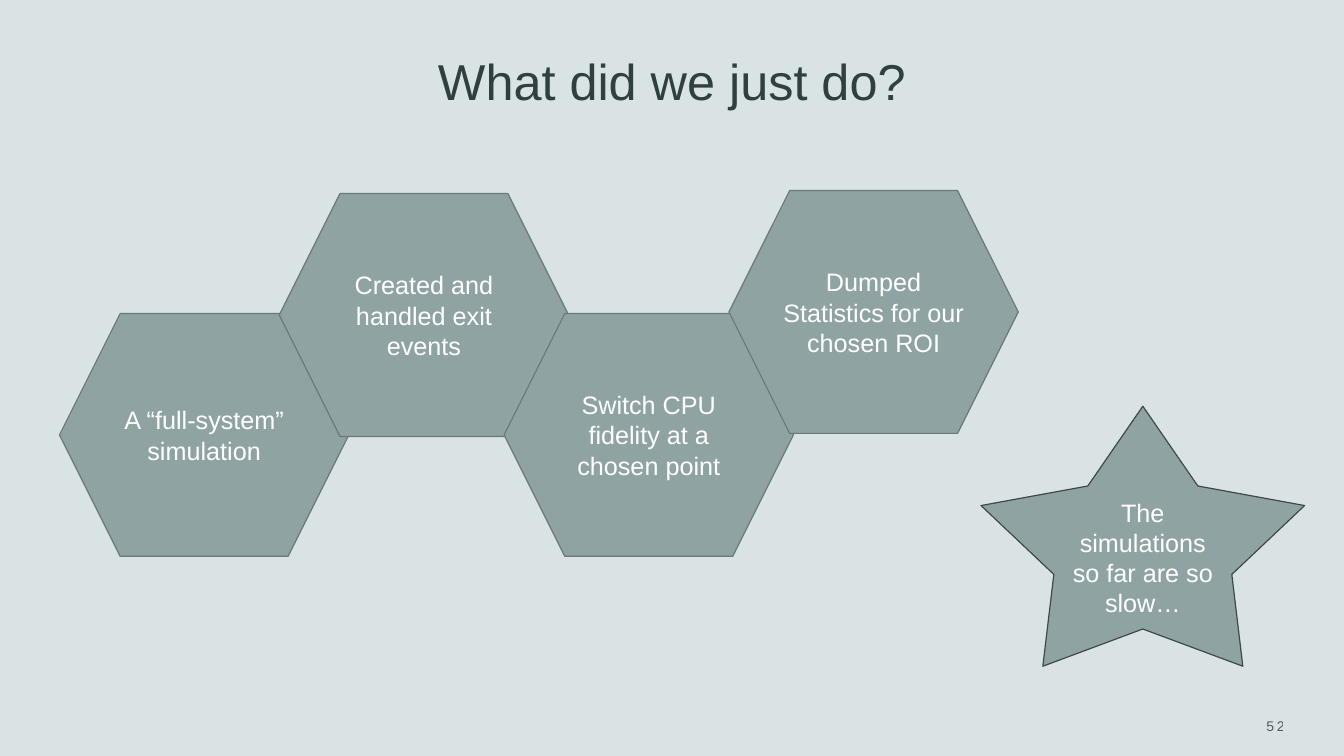
from lxml import etree
from pptx import Presentation
from pptx.dml.color import RGBColor
from pptx.enum.shapes import MSO_SHAPE
from pptx.enum.text import MSO_ANCHOR, PP_ALIGN
from pptx.oxml.ns import qn
from pptx.util import Inches, Pt

HEXAGON, STAR = MSO_SHAPE.HEXAGON, MSO_SHAPE.STAR_5_POINT
MIDDLE, BOTTOM = MSO_ANCHOR.MIDDLE, MSO_ANCHOR.BOTTOM
CENTER, RIGHT = PP_ALIGN.CENTER, PP_ALIGN.RIGHT
SAGE, WHITE = "8FA3A3", "FFFFFF"


def color(code):
    return RGBColor.from_string(code)


def write(shape, text, size, code, align=CENTER, anchor=MIDDLE):
    """Fill a shape with one wrapped paragraph and return that paragraph."""
    frame = shape.text_frame
    frame.word_wrap = True
    frame.vertical_anchor = anchor
    para = frame.paragraphs[0]
    para.text = text
    para.alignment = align
    para.font.name = "Arial"
    para.font.size = Pt(size)
    para.font.color.rgb = color(code)
    return para


deck = Presentation()
deck.slide_width, deck.slide_height = Inches(13.33), Inches(7.5)
slide = deck.slides.add_slide(deck.slide_layouts[6])
slide.background.fill.solid()
slide.background.fill.fore_color.rgb = color("DAE3E3")

title = slide.shapes.add_textbox(
    Inches(1.08), Inches(0.43), Inches(11.17), Inches(0.72))
write(title, "What did we just do?", 36, "303F3F", anchor=BOTTOM)

# Page number: spaced digits in 60 % black
number = slide.shapes.add_textbox(
    Inches(10.92), Inches(6.95), Inches(1.92), Inches(0.5))
digits = write(number, "52", 10, "000000", RIGHT).runs[0]
digits.font.color.rgb = color("000000")
props = digits._r.get_or_add_rPr()
props.set("spc", "200")
tint = props.find(".//" + qn("a:srgbClr"))
etree.SubElement(tint, qn("a:alpha")).set("val", "60000")

# Kind, left, top, width, height, line colour, text
HEX_SIZE = (2.87, 2.41)
steps = [
    (0.59, 3.11, "A “full-system” simulation"),
    (2.77, 1.92, "Created and handled exit events"),
    (5, 3.11, "Switch CPU fidelity at a chosen point"),
    (7.23, 1.89, "Dumped Statistics for our chosen ROI"),
]
parts = [(HEXAGON, x, y, *HEX_SIZE, "6A7979", text) for x, y, text in steps]
parts.append((STAR, 9.73, 4.03, 3.21, 2.58, "3F4747",
              "The simulations so far are so slow…"))

for kind, x, y, wide, high, edge, text in parts:
    shape = slide.shapes.add_shape(
        kind, Inches(x), Inches(y), Inches(wide), Inches(high))
    shape.shadow.inherit = False
    shape.fill.solid()
    shape.fill.fore_color.rgb = color(SAGE)
    shape.line.color.rgb = color(edge)
    shape.line.width = Pt(0.85)
    if kind == STAR:
        shape.adjustments[0] = 0.275
    write(shape, text, 18, WHITE)

deck.save("out.pptx")
